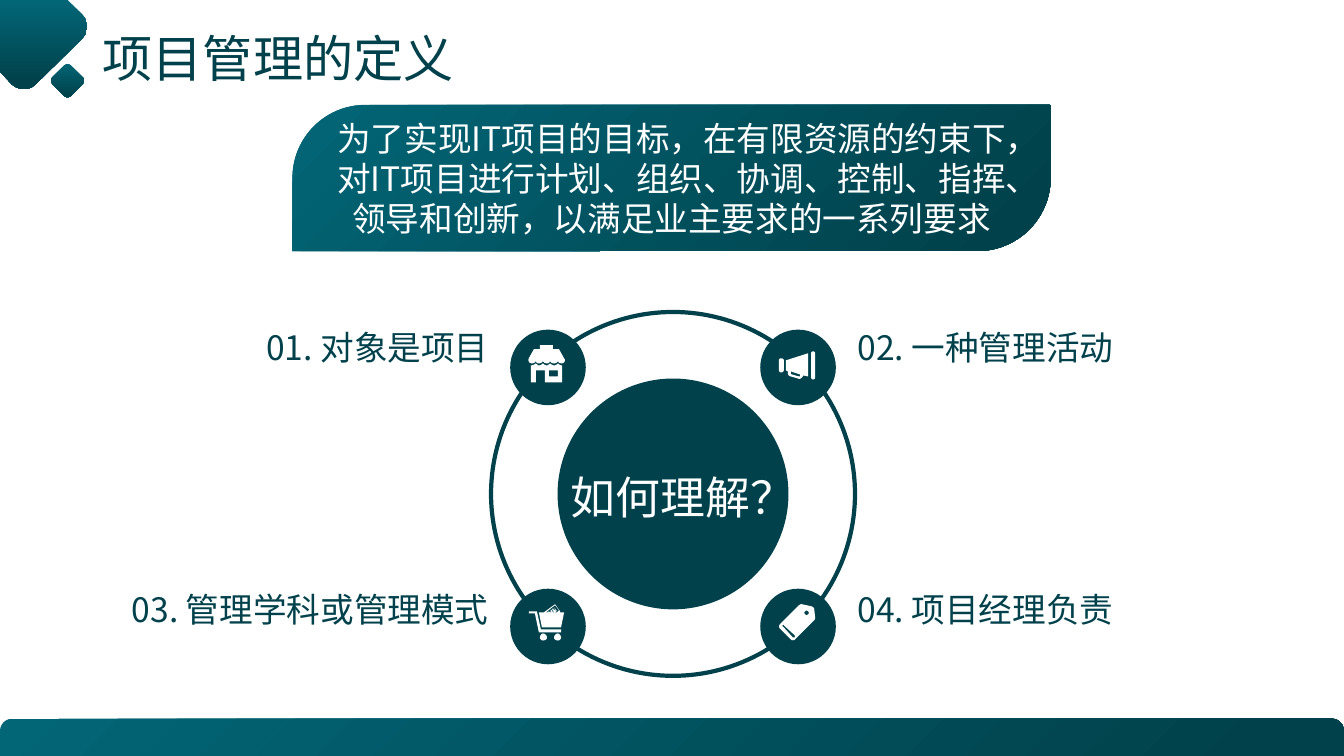
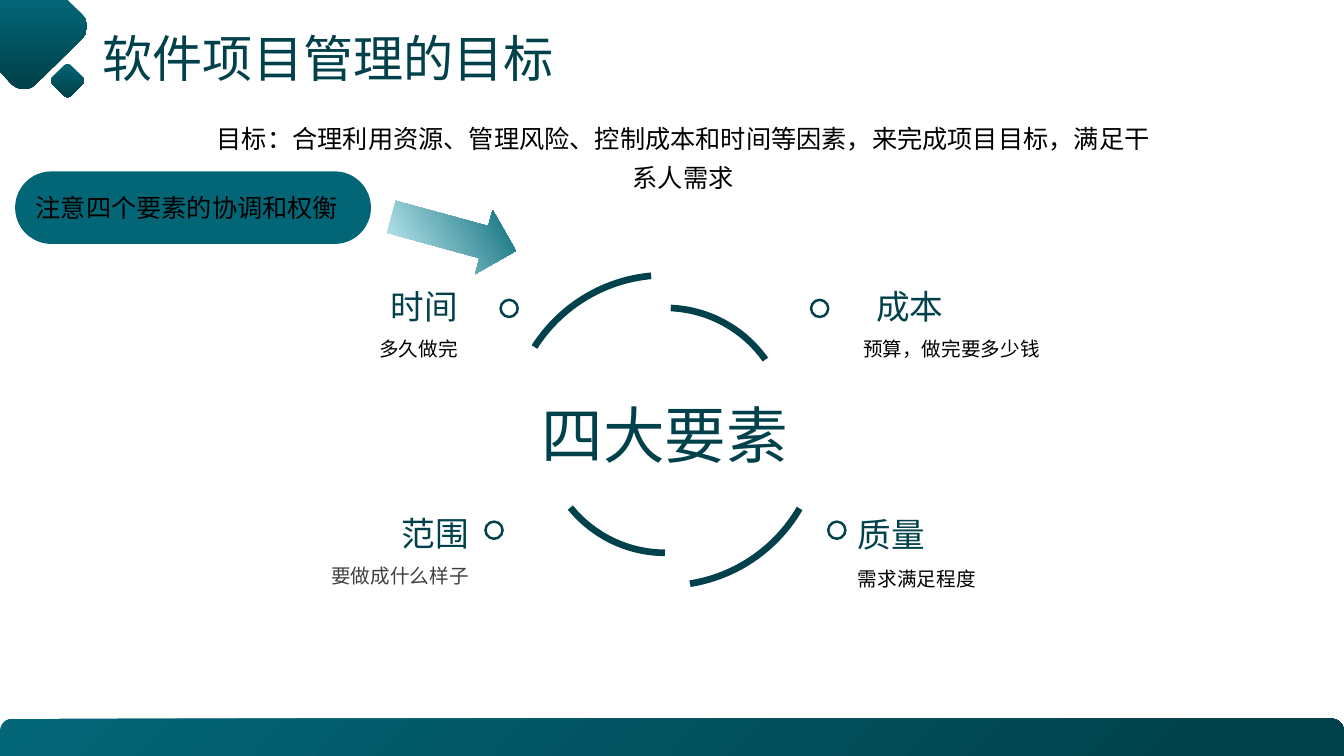
from lxml.etree import SubElement
from pptx import Presentation
from pptx.dml.color import RGBColor
from pptx.enum.shapes import MSO_SHAPE as SHAPE
from pptx.enum.text import MSO_ANCHOR as ANCHOR, MSO_AUTO_SIZE as FIT, PP_ALIGN as ALIGN
from pptx.oxml.ns import qn
from pptx.util import Inches, Pt

W, H = 13.33, 7.5
FONT = "Noto Sans CJK SC"
COLORS = {"dark": "01414B", "teal": "026676", "ice": "D4F9FE",
          "white": "FFFFFF", "black": "000000", "gray": "404040"}
SIDES = {"l": ALIGN.LEFT, "c": ALIGN.CENTER, "r": ALIGN.RIGHT}

# Outlines in hundredths of an inch: M move, L line, C curve, Z close
CORNER = "M 0 0 L 67 0 L 82 15 C 88 21 88 31 82 38 L 35 84 C 29 90 19 90 12 84 L 0 71 Z"
SHOP = """M 20 25 L 20 31 L 29 31 L 29 25 Z
M 7 18 C 8 19 9 20 10 20 C 12 20 13 19 14 18 C 15 19 16 20 18 20 C 19 20 20 19 21 18
C 22 19 24 20 25 20 C 27 20 28 19 29 18 C 30 19 31 20 33 20 L 33 37 L 16 37 L 16 25
L 7 25 L 7 37 L 2 37 L 2 20 C 4 20 6 19 7 18 Z
M 11 0 L 24 0 L 24 4 L 30 4 L 35 13 C 37 15 35 18 33 18 C 30 18 29 17 29 15
C 29 17 27 18 25 18 C 23 18 21 17 21 15 C 21 17 20 18 18 18 C 16 18 14 17 14 15
C 14 17 12 18 10 18 C 8 18 7 17 7 15 C 7 17 5 18 3 18 C 0 18 -1 15 0 13 L 5 4 L 11 4 Z"""
MEGAPHONE = """M 12 26 L 12 28 C 12 28 12 29 13 29 L 20 31 C 21 31 21 31 21 30 L 21 29 Z
M 2 13 C 4 13 5 14 5 15 L 5 24 C 5 26 4 27 2 27 C 1 27 0 26 0 24 L 0 15 C 0 14 1 13 2 13 Z
M 29 8 L 29 31 L 24 30 C 24 31 23 32 22 33 C 21 33 20 34 19 33 L 12 31
C 10 31 9 29 9 28 L 9 26 L 7 25 L 7 15 Z
M 34 6 C 35 6 36 7 36 8 L 36 32 C 36 33 35 34 34 34 C 33 34 32 33 32 32 L 32 8
C 32 7 33 6 34 6 Z"""
CART = """M 12 25 L 32 25 L 32 28 L 10 28 L 6 9 L 0 9 L 0 7 L 8 7 Z
M 14 29 C 13 29 11 31 11 33 C 11 35 13 36 14 36 C 16 36 18 35 18 33 C 18 31 16 29 14 29 Z
M 29 29 C 27 29 25 31 25 33 C 25 35 27 36 29 36 C 30 36 32 35 32 33 C 32 31 30 29 29 29 Z
M 13 23 L 10 8 L 15 8 L 26 0 L 31 7 L 31 8 L 35 8 L 32 23 Z
M 17 8 L 19 8 L 19 7 L 20 8 L 20 7 L 21 8 L 22 8 L 21 6 L 23 8 L 22 6 L 22 5 L 24 8
L 25 8 L 23 5 L 23 4 L 26 8 L 28 8 L 30 6 L 26 1 Z
M 28 7 L 25 3 L 27 7 Z M 27 7 L 24 4 L 26 8 Z"""
TAG = """M 36 13 L 35 4 C 34 3 33 2 32 2 L 23 0 C 22 0 21 0 20 1 L 1 20 C 0 21 0 23 1 24
L 12 35 C 13 36 15 36 16 35 L 35 16 C 36 15 36 14 36 13 Z
M 16 33 C 15 33 14 33 14 33 L 4 22 C 3 22 3 21 4 21 C 4 20 5 20 5 21 L 16 31
C 16 31 16 32 16 33 Z
M 29 10 C 28 11 27 11 26 10 C 25 9 25 8 26 7 C 27 6 28 6 29 7 C 30 8 30 9 29 10 Z"""


def rgb(name):
    return RGBColor.from_string(COLORS[name])


def style(sp, fill=None, line=None, width=1.0):
    """Fill with one colour name, with a (from, to, clockwise angle) gradient, or not at all."""
    sp.shadow.inherit = False
    if isinstance(fill, tuple):
        start, end, angle = fill
        sp.fill.gradient()
        sp.fill.gradient_angle = (360 - angle) % 360
        for stop, name, pos in zip(sp.fill.gradient_stops, (start, end), (0, 0.94)):
            stop.color.rgb = rgb(name)
            stop.position = pos
    elif fill:
        sp.fill.solid()
        sp.fill.fore_color.rgb = rgb(fill)
    else:
        sp.fill.background()
    if line:
        sp.line.color.rgb = rgb(line)
        sp.line.width = Pt(width)
    else:
        sp.line.fill.background()
    return sp


def shape(s, kind, x, y, w, h, adj=(), rot=0, **look):
    sp = s.shapes.add_shape(kind, Inches(x), Inches(y), Inches(w), Inches(h))
    for i, value in enumerate(adj):
        sp.adjustments[i] = value
    sp.rotation = rot
    return style(sp, **look)


def circle(s, cx, cy, d, **look):
    return shape(s, SHAPE.OVAL, cx - d / 2, cy - d / 2, d, d, **look)


def contours(outline, steps=6):
    """Yield each contour of an outline as a list of points, with curves sampled."""
    tokens = iter(outline.split())
    points = []
    for cmd in tokens:
        if cmd == "Z":
            yield points
            points = []
            continue
        nums = [float(next(tokens)) for _ in range(6 if cmd == "C" else 2)]
        ends = list(zip(nums[::2], nums[1::2]))
        if cmd != "C":
            points += ends
            continue
        ctrl = [points[-1]] + ends
        for t in (i / steps for i in range(1, steps + 1)):
            weights = ((1 - t) ** 3, 3 * t * (1 - t) ** 2, 3 * t * t * (1 - t), t ** 3)
            points.append(tuple(sum(k * p[axis] for k, p in zip(weights, ctrl))
                                for axis in (0, 1)))


def outline_shape(s, outline, x, y, fill):
    builder = None
    for points in contours(outline):
        emu = [(Inches(px / 100), Inches(py / 100)) for px, py in points]
        if builder is None:
            builder = s.shapes.build_freeform(*emu[0], scale=1.0)
        else:
            builder.move_to(*emu[0])
        builder.add_line_segments(emu[1:], close=True)
    return style(builder.convert_to_shape(Inches(x), Inches(y)), fill=fill)


def write(tf, text, size, color, side="l", spacing=None):
    p = tf.paragraphs[0]
    p.alignment = SIDES[side]
    if spacing:
        p.line_spacing = spacing
    r = p.add_run()
    r.text = text
    r.font.size = Pt(size)
    r.font.name = FONT
    r.font.color.rgb = rgb(color)
    SubElement(r.font._element, qn("a:ea")).set("typeface", FONT)


def label(s, x, y, w, h, text, size, color="dark", side="l", spacing=None,
          wrap=False, inset=True):
    tf = s.shapes.add_textbox(Inches(x), Inches(y), Inches(w), Inches(h)).text_frame
    if not inset:
        tf.margin_left = tf.margin_right = tf.margin_top = tf.margin_bottom = 0
    tf.word_wrap = wrap
    tf.auto_size = FIT.SHAPE_TO_FIT_TEXT
    write(tf, text, size, color, side, spacing)


def filled_text(sp, text, size, color, side):
    sp.text_frame.word_wrap = True
    sp.text_frame.vertical_anchor = ANCHOR.MIDDLE
    write(sp.text_frame, text, size, color, side)


def decorate_layout(layout, s):
    """Draw the corner and the bottom band once and hand them to the layout."""
    slant = ("teal", "dark", 45)
    parts = [
        outline_shape(s, CORNER, 0, 0, ("teal", "dark", 90)),
        shape(s, SHAPE.ROUNDED_RECTANGLE, 0.54, 0.67, 0.26, 0.26, rot=45, fill=slant),
        shape(s, SHAPE.ROUND_2_SAME_RECTANGLE, 0, H - 0.37, W, 0.37, adj=(0.33, 0), fill=slant),
    ]
    for sp in parts:
        layout.shapes.element.append(sp.element)
    title = layout.placeholders[0]
    title.left, title.top, title.width, title.height = map(Inches, (0.92, 0.33, 6.13, 0.55))


def set_title(s, text):
    tf = s.shapes.title.text_frame
    tf.word_wrap = True
    tf.auto_size = FIT.NONE
    tf.vertical_anchor = ANCHOR.MIDDLE
    write(tf, text, 35.8, "dark", spacing=0.9)


def understanding_ring(s, cx, cy):
    circle(s, cx, cy, 2.29, fill="dark")
    label(s, cx - 1.02, cy - 0.24, 2.24, 0.54, "如何理解？", 32, "white", "c", inset=False)
    circle(s, cx, cy, 3.61, line="dark", width=3)
    points = [("01. 对象是项目", 2.31, SHOP), ("02. 一种管理活动", 2.69, MEGAPHONE),
              ("03. 管理学科或管理模式", 3.7, CART), ("04. 项目经理负责", 2.69, TAG)]
    for i, (text, w, icon) in enumerate(points):
        row, col = divmod(i, 2)
        x = cx + (2 * col - 1) * 1.24
        y = cy + 0.03 + (2 * row - 1) * 1.285
        circle(s, x, y, 0.75, fill="dark")
        outline_shape(s, icon, x - 0.19, y - 0.22, "white")
        left = cx + 1.83 if col else cx - 1.83 - w
        label(s, left, cy - 1.66 + row * 2.6, w, 0.4, text, 24,
              side="l" if col else "r", inset=False)


def element_wheel(s, cx, cy):
    for d, start, end in [(2.43, 272.5, 324.7), (2.43, 90.2, 140.9),
                          (3.08, 212.5, 264.7), (3.08, 30.2, 80.9)]:
        # Arc angles are stored as 60000ths of a degree, adjustments as 100000ths
        shape(s, SHAPE.ARC, cx - d / 2, cy - d / 2, d, d, adj=(start * 0.6, end * 0.6),
              line="dark", width=4.75)
    label(s, cx - 1.24, cy - 0.33, 2.47, 0.74, "四大要素", 44, side="c", inset=False)
    # Dot, then the text edge nearest the wheel and top of name and of note
    elements = [
        ("时间", "多久做完", "black", (-1.55, -1.21), (-2.06, -1.43), (-2.06, -1.0)),
        ("成本", "预算，做完要多少钱", "black", (1.53, -1.21), (2.09, -1.43), (1.96, -1.0)),
        ("范围", "要做成什么样子", "gray", (-1.7, 0.99), (-1.95, 0.82), (-1.95, 1.25)),
        ("质量", "需求满足程度", "black", (1.7, 0.99), (1.91, 0.83), (1.91, 1.28)),
    ]
    for name, note, color, (dx, dy), name_at, note_at in elements:
        circle(s, cx + dx, cy + dy, 0.17, fill="white", line="dark", width=1.75)
        side = "r" if dx < 0 else "l"
        for (ex, ey), w, h, text, size, ink, spacing in [
                (name_at, 0.67, 0.4, name, 24, "dark", None),
                (note_at, 2.7, 0.28, note, 14, color, 1.3)]:
            left = cx + ex - (w if side == "r" else 0)
            label(s, left, cy + ey, w, h, text, size, ink, side, spacing,
                  wrap=spacing is not None, inset=False)


def definition_slide(s):
    set_title(s, "项目管理的定义")
    understanding_ring(s, W / 2 + 0.01, 4.9)
    banner = shape(s, SHAPE.ROUND_2_DIAG_RECTANGLE, 2.9, 1.04, 7.52, 1.45, adj=(0.5, 0),
                   fill=("teal", "dark", 45))
    filled_text(banner, "为了实现IT项目的目标，在有限资源的约束下，对IT项目进行计划、组织、协调、"
                "控制、指挥、领导和创新，以满足业主要求的一系列要求", 24, "white", "c")


def goal_slide(s):
    set_title(s, "软件项目管理的目标")
    label(s, 1.95, 1.08, 9.65, 0.85,
          "目标：合理利用资源、管理风险、控制成本和时间等因素，来完成项目目标，满足干系人需求",
          18, "black", "c", spacing=1.3, wrap=True)
    pill = shape(s, SHAPE.ROUNDED_RECTANGLE, 0.15, 1.7, 3.53, 0.72, adj=(0.5,), fill="teal")
    filled_text(pill, "注意四个要素的协调和权衡", 18, "black", "l")
    element_wheel(s, 6.6, 4.27)
    shape(s, SHAPE.DOWN_ARROW, 4.17, 1.68, 0.66, 1.28, rot=285.3, fill=("ice", "teal", 45))


def main():
    prs = Presentation()
    prs.slide_width, prs.slide_height = Inches(W), Inches(H)
    layout = prs.slide_layouts.get_by_name("Title Only")
    for i, build in enumerate((definition_slide, goal_slide)):
        s = prs.slides.add_slide(layout)
        if i == 0:
            decorate_layout(layout, s)
        build(s)
    prs.save("out.pptx")


if __name__ == "__main__":
    main()
